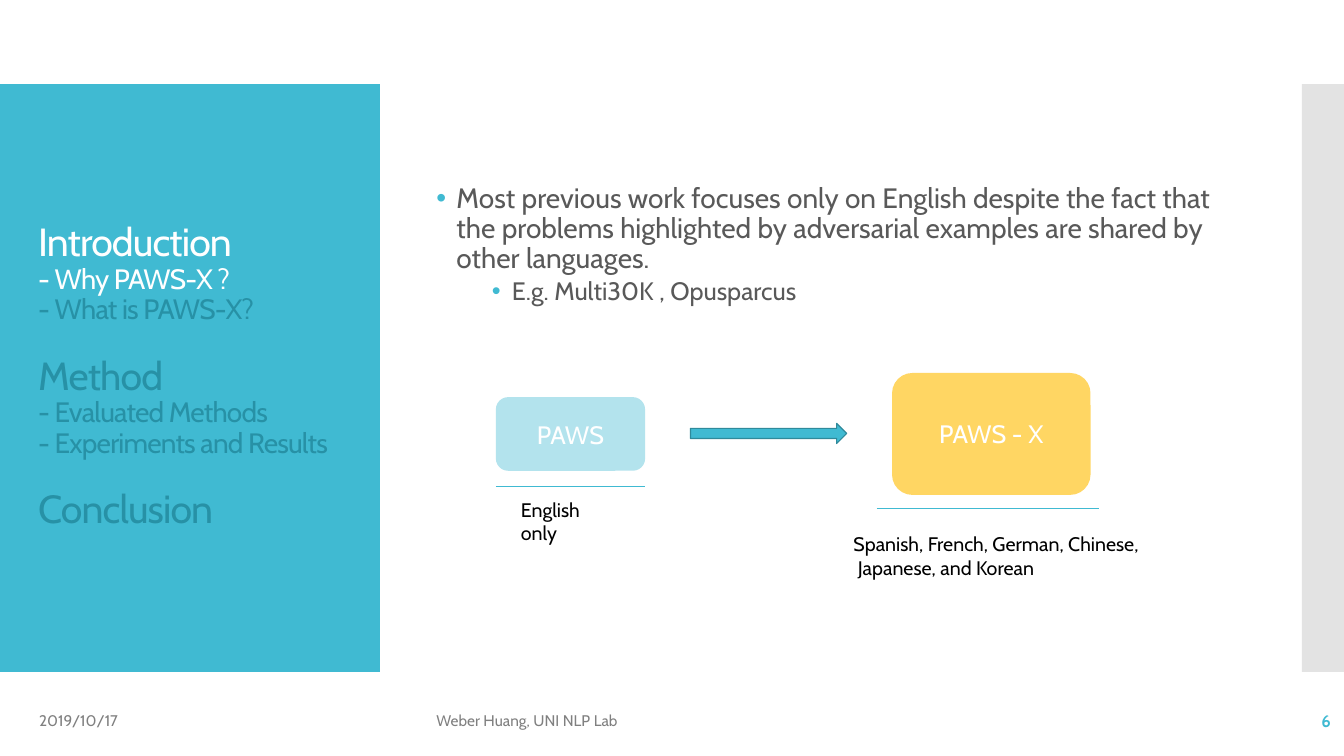
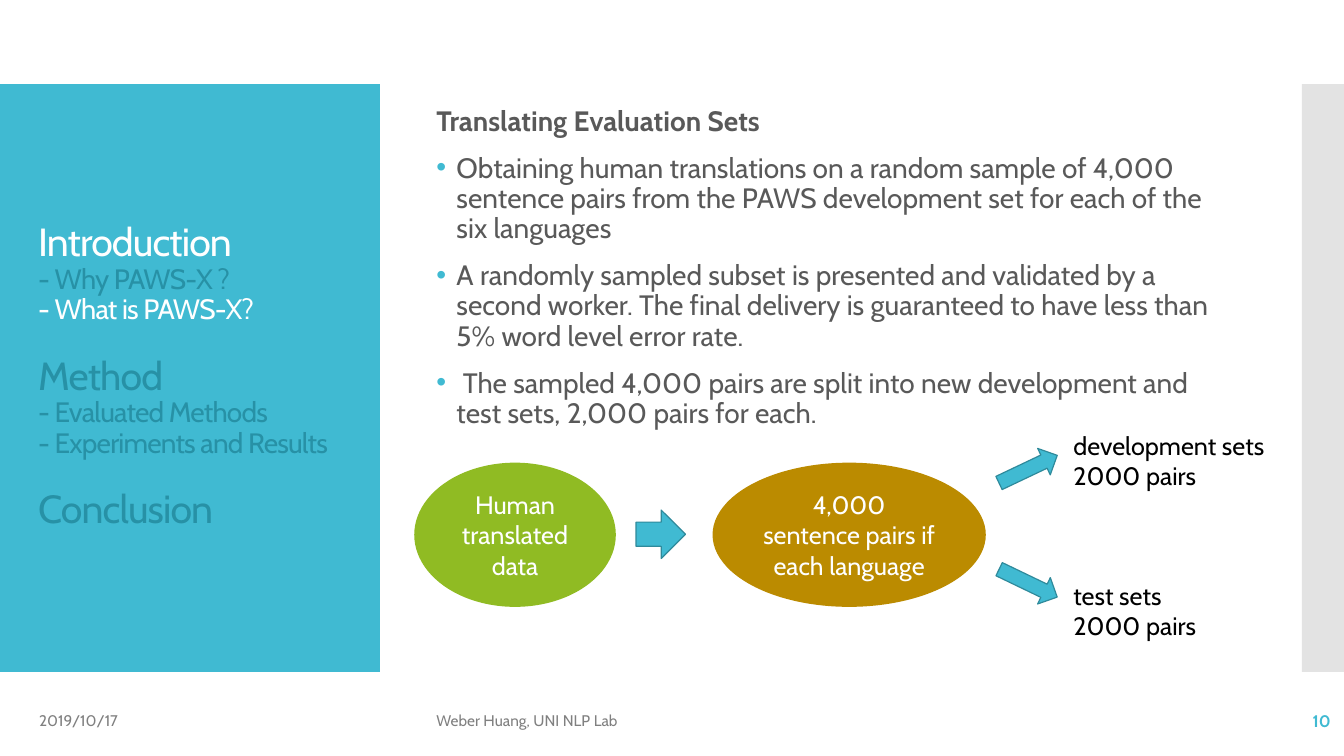
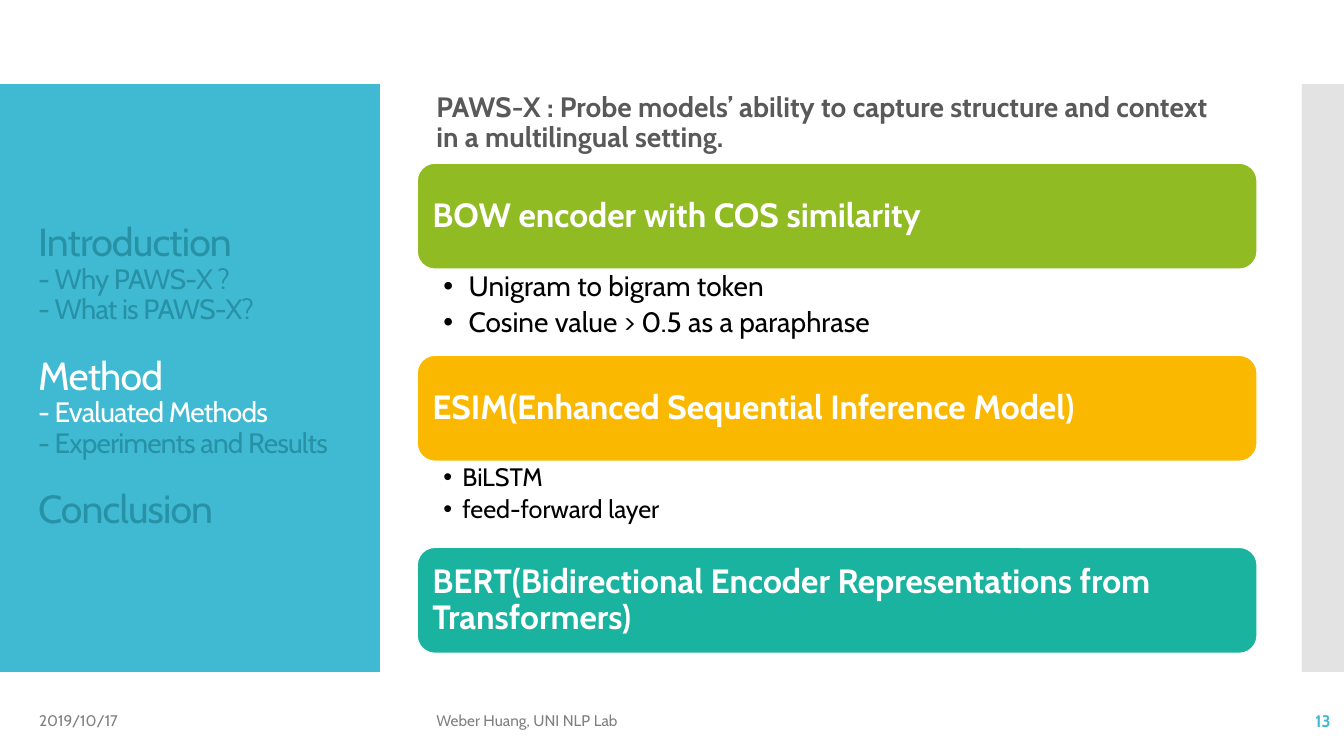
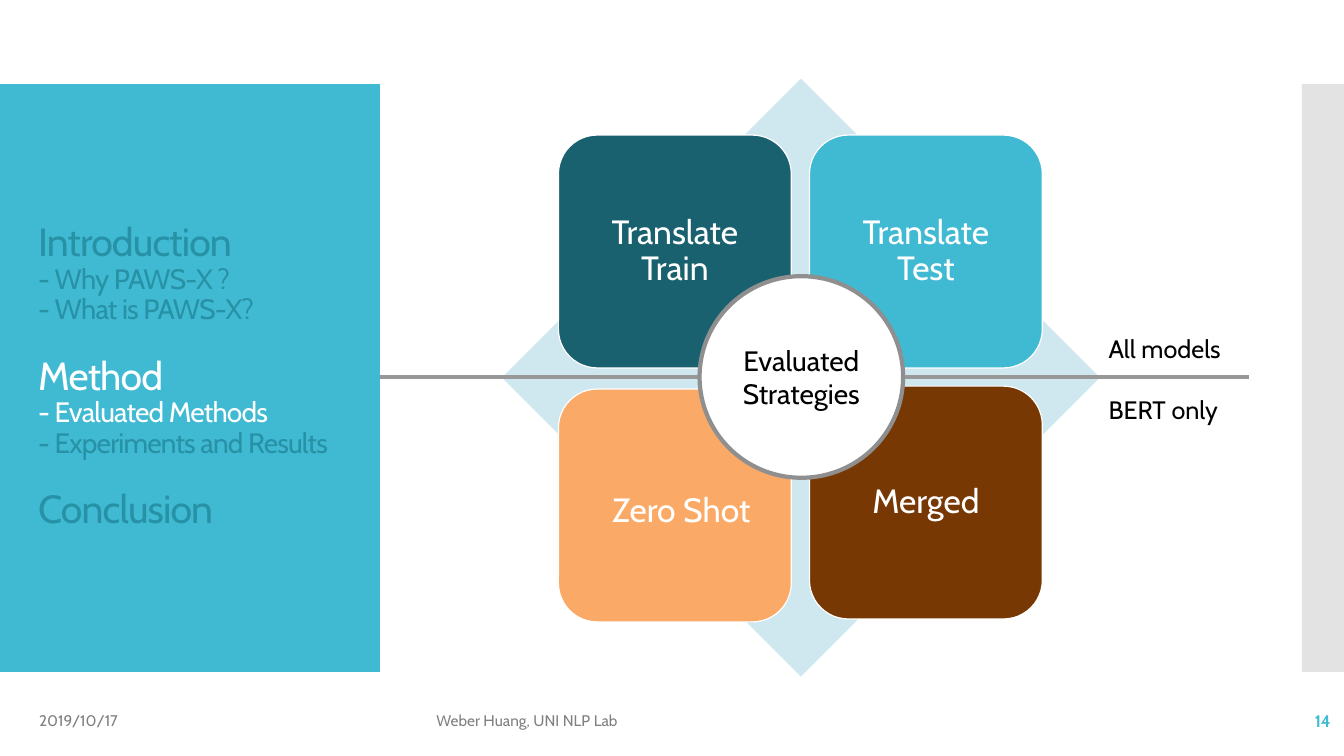
from dataclasses import dataclass

from lxml import etree
from pptx import Presentation
from pptx.dml.color import RGBColor
from pptx.enum import shapes, text
from pptx.oxml.ns import qn
from pptx.util import Pt


@dataclass(frozen=True)
class Theme:
    font: str = "Cabin"
    cyan: str = "40BAD2"
    cyan_edge: str = "2F8A9B"
    cyan_muted: str = "2791A6"
    cyan_pale: str = "B3E3ED"
    cyan_mist: str = "CFE7EE"
    cyan_deep: str = "1A616F"
    white: str = "FFFFFF"
    black: str = "000000"
    body: str = "595959"
    footer: str = "808080"
    band: str = "C8C8C8"
    rule: str = "989898"
    ring: str = "8F8F8F"
    green: str = "90BB23"
    teal: str = "1AB39F"
    yellow: str = "FAB900"
    yellow_pale: str = "FFD663"
    ochre: str = "BB8B00"
    orange: str = "FAA966"
    brown: str = "773804"
    chapter_size: float = 28
    heading_size: float = 24
    body_size: float = 20
    label_size: float = 18
    note_size: float = 14
    number_size: float = 12
    footer_size: float = 11


theme = Theme()
forms = shapes.MSO_SHAPE
straight = shapes.MSO_CONNECTOR.STRAIGHT
left, center, right = text.PP_ALIGN.LEFT, text.PP_ALIGN.CENTER, text.PP_ALIGN.RIGHT
top, middle = text.MSO_ANCHOR.TOP, text.MSO_ANCHOR.MIDDLE


def place(slide, box, form=None, fill=None, line=None, weight=0.85):
    x, y, width, height = map(Pt, box)
    if form is None:
        return slide.shapes.add_textbox(x, y, width, height)
    if form is straight:
        item = slide.shapes.add_connector(form, x, y, x + width, y + height)
    else:
        item = slide.shapes.add_shape(form, x, y, width, height)
        item.shadow.inherit = False
        item.fill.solid()
        item.fill.fore_color.rgb = RGBColor.from_string(fill)
    if line:
        item.line.color.rgb = RGBColor.from_string(line)
        item.line.width = Pt(weight)
    else:
        item.line.fill.background()
    if form is straight:
        etree.SubElement(item._element.spPr, qn("a:effectLst"))
    return item


def write(item, *lines, anchor=middle, insets=(7.2, 3.6, 7.2, 3.6), **shared):
    frame = item.text_frame
    frame.word_wrap = True
    frame.vertical_anchor = anchor
    frame.margin_left, frame.margin_top, frame.margin_right, frame.margin_bottom = map(Pt, insets)
    for index, line in enumerate(lines):
        words, own = line if isinstance(line, tuple) else (line, {})
        look = {"size": theme.body_size, "color": theme.black, **shared, **own}
        paragraph = frame.paragraphs[0] if index == 0 else frame.add_paragraph()
        paragraph.alignment = look.get("align", left)
        paragraph.line_spacing = look.get("spacing", 1.0)
        paragraph.space_before = Pt(look.get("before", 0))
        paragraph.space_after = Pt(look.get("after", 0))
        run = paragraph.add_run()
        run.text = words
        run.font.name = theme.font
        run.font.size = Pt(look["size"])
        run.font.bold = look.get("bold", False)
        run.font.color.rgb = RGBColor.from_string(look["color"])
        if "tracking" in look:
            run.font._element.set("spc", str(look["tracking"]))
        properties = paragraph._p.get_or_add_pPr()
        margin, hanging = look.get("indent", (0, 0))
        properties.set("marL", str(Pt(margin)))
        properties.set("indent", str(Pt(-hanging)))
        if "bullet" in look:
            tint = etree.SubElement(properties, qn("a:buClr"))
            etree.SubElement(tint, qn("a:srgbClr"), val=look["bullet"])
            etree.SubElement(properties, qn("a:buFont"), typeface="Arial")
            etree.SubElement(properties, qn("a:buChar"), char="•")


deck = Presentation()
deck.slide_width, deck.slide_height = Pt(960), Pt(540)

outline = [
    ("Introduction", theme.chapter_size, 0),
    ("- Why PAWS-X ?", theme.body_size, 0),
    ("- What is PAWS-X?", theme.body_size, 0),
    ("Method", theme.chapter_size, 22),
    ("- Evaluated Methods", theme.body_size, 0),
    ("- Experiments and Results", theme.body_size, 0),
    ("Conclusion", theme.chapter_size, 22),
]
agenda = [("6", {0, 1}), ("10", {0, 2}), ("13", {3, 4}), ("14", {3, 4})]

for number, active in agenda:
    slide = deck.slides.add_slide(deck.slide_layouts[6])
    sidebar = place(slide, (0, 60, 271.4, 420), forms.RECTANGLE, theme.cyan)
    edge_band = place(slide, (930, 60, 30, 420), forms.RECTANGLE, theme.band)
    band_color = edge_band._element.spPr.find(".//" + qn("a:srgbClr"))
    etree.SubElement(band_color, qn("a:alpha"), val="50000")
    chapters = [
        (words, {"size": size, "before": before,
                 "color": theme.white if row in active else theme.cyan_muted})
        for row, (words, size, before) in enumerate(outline)
    ]
    write(place(slide, (20.2, 88.6, 232, 362)), *chapters, spacing=0.9, tracking=-60)
    for words, x, width in [("2019/10/17", 20.9, 216), ("Weber Huang, UNI NLP Lab", 304.6, 465)]:
        write(place(slide, (x, 500.4, width, 28.8)), words,
              size=theme.footer_size, color=theme.footer)
    write(place(slide, (837.4, 500.4, 120.2, 28.8)), number, align=right, bold=True,
          size=theme.number_size, color=theme.cyan)

motivation, evaluation, methods, strategies = deck.slides
body_style = {"color": theme.body, "spacing": 0.9, "before": 12}
bullet_style = {"indent": (14.4, 14.4), "bullet": theme.cyan}

write(place(motivation, (304.6, 67.7, 576, 214.6)),
      ("Most previous work focuses only on English despite the fact that the problems "
       "highlighted by adversarial examples are shared by other languages.", bullet_style),
      ("E.g. Multi30K , Opusparcus",
       {"indent": (54, 14.4), "bullet": theme.cyan, "size": theme.label_size,
        "before": 2.5, "after": 2.5}),
      **body_style)
for name, box, fill in [
    ("PAWS", (354.2, 283.7, 106.6, 52.6), theme.cyan_pale),
    ("PAWS - X", (637.2, 266.4, 141.8, 87.1), theme.yellow_pale),
]:
    write(place(motivation, box, forms.ROUNDED_RECTANGLE, fill), name,
          align=center, size=theme.label_size, color=theme.white)
place(motivation, (493.2, 302.4, 111.6, 14.4), forms.RIGHT_ARROW, theme.cyan, theme.cyan_edge)
for x, y, width in [(354.2, 347.8, 106.6), (626.4, 362.9, 158.4)]:
    place(motivation, (x, y, width, 0), straight, line=theme.cyan, weight=0.75)
write(place(motivation, (365, 352.1, 84, 41)), "English only",
      anchor=top, size=theme.note_size)
write(place(motivation, (563, 376.6, 259.2, 41)),
      "Spanish, French, German, Chinese,", " Japanese, and Korean",
      anchor=top, size=theme.note_size, indent=(39.6, 0))

write(place(evaluation, (304.6, 67.7, 576, 247.7)),
      ("Translating Evaluation Sets", {"bold": True}),
      ("Obtaining human translations on a random sample of 4,000 sentence pairs from the "
       "PAWS development set for each of the six languages", bullet_style),
      ("A randomly sampled subset is presented and validated by a second worker. The final "
       "delivery is guaranteed to have less than 5% word level error rate.", bullet_style),
      (" The sampled 4,000 pairs are split into new development and test sets, 2,000 pairs "
       "for each.", bullet_style),
      **body_style)
for words, x, width, fill in [
    ("Human translated data", 295.9, 144, theme.green),
    ("4,000 sentence pairs if each language", 509, 195.2, theme.ochre),
]:
    write(place(evaluation, (x, 330.5, width, 103), forms.OVAL, fill), words,
          align=center, size=theme.label_size, color=theme.white)
for box, angle in [
    ((454.3, 364.3, 35.3, 34.6), 0),
    ((711.4, 324.7, 46, 20.9), 334.6),
    ((711.4, 406.1, 46, 20.9), 25.7),
]:
    arrow = place(evaluation, box, forms.RIGHT_ARROW, theme.cyan, theme.cyan_edge)
    arrow.rotation = angle
for split, y in [("development sets", 303.8), ("test sets", 411.1)]:
    write(place(evaluation, (759.6, y, 190, 51)), split, "2000 pairs",
          anchor=top, size=theme.label_size)

write(place(methods, (304.6, 38.2, 576, 100)),
      "PAWS-X : Probe models’ ability to capture structure and context in a multilingual setting.",
      bold=True, **body_style)
models = [
    ("BOW encoder with COS similarity", theme.green,
     ["Unigram to bigram token", "Cosine value > 0.5 as a paraphrase"], theme.body_size, 18),
    ("ESIM(Enhanced Sequential Inference Model)", theme.yellow,
     ["BiLSTM", "feed-forward layer"], theme.label_size, 13.5),
    ("BERT(Bidirectional Encoder Representations from Transformers)", theme.teal, [], 0, 0),
]
for index, (model, fill, details, size, hanging) in enumerate(models):
    y = 116.6 + index * 137.2
    write(place(methods, (298.1, y, 599.8, 75.6), forms.ROUNDED_RECTANGLE, fill, theme.white),
          model, size=theme.heading_size, color=theme.white, bold=True, spacing=0.9)
    if details:
        write(place(methods, (298.1, y + 75.6, 599.8, 61.2)), *details, anchor=top,
              insets=(18.7, 2.2, 10.8, 2.2), size=size, spacing=0.9, after=size * 0.2,
              indent=(hanging, hanging), bullet=theme.black)

place(strategies, (358.6, 56.2, 427, 427), forms.DIAMOND, theme.cyan_mist)
even, shifted = (7.2, 7.2, 7.2, 7.2), (16.2, 16.2, 7.2, 7.2)
for strategy, x, y, fill, insets in [
    ("Translate Train", 398.9, 96.5, theme.cyan_deep, even),
    ("Translate Test", 578.2, 96.5, theme.cyan, even),
    ("Zero Shot", 398.9, 277.9, theme.orange, shifted),
    ("Merged", 578.2, 275.8, theme.brown, even),
]:
    write(place(strategies, (x, y, 166.3, 166.3), forms.ROUNDED_RECTANGLE, fill, theme.white),
          strategy, insets=insets, align=center, spacing=0.9,
          size=theme.heading_size, color=theme.white)
place(strategies, (271.4, 269.3, 620.7, 0), straight, line=theme.rule, weight=3)
write(place(strategies, (499.7, 197.3, 145.4, 144), forms.OVAL, theme.white, theme.ring, 3),
      "Evaluated", "Strategies", align=center)
for scope, y in [("All models", 234.7), ("BERT only", 277.9)]:
    write(place(strategies, (784.8, y, 105, 29)), scope, anchor=top, size=theme.label_size)

deck.save("out.pptx")
